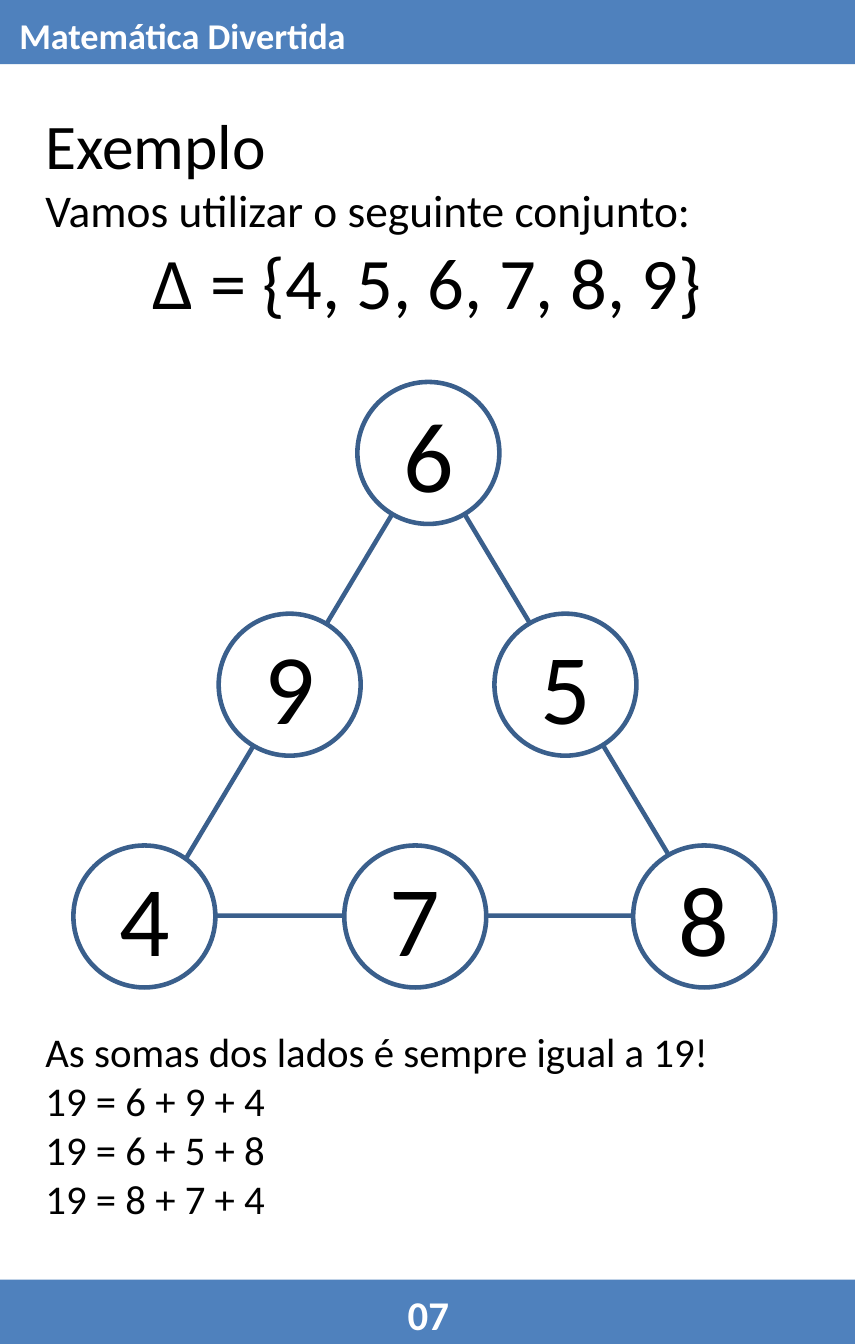
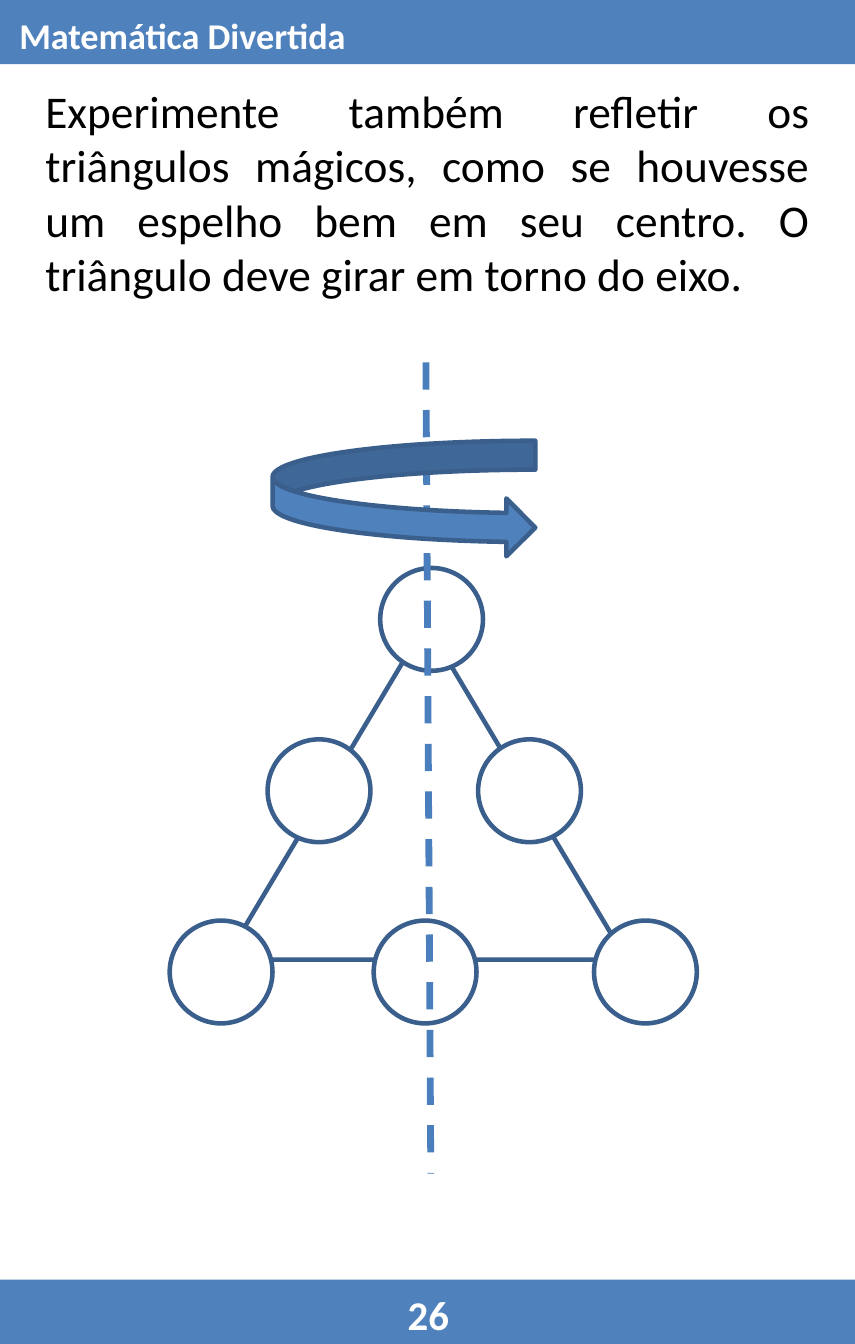
from lxml import etree
from pptx import Presentation
from pptx.dml.color import RGBColor
from pptx.enum.dml import MSO_LINE
from pptx.enum.shapes import MSO_CONNECTOR, MSO_SHAPE
from pptx.enum.text import MSO_ANCHOR, MSO_AUTO_SIZE, PP_ALIGN
from pptx.oxml.ns import qn
from pptx.util import Cm, Inches, Pt

RECTANGLE, ELLIPSE = MSO_SHAPE.RECTANGLE, MSO_SHAPE.OVAL
TRIANGLE, TURN_ARROW = MSO_SHAPE.ISOSCELES_TRIANGLE, MSO_SHAPE.CURVED_RIGHT_ARROW
LEFT, CENTER, JUSTIFY = PP_ALIGN.LEFT, PP_ALIGN.CENTER, PP_ALIGN.JUSTIFY
MIDDLE, GROW = MSO_ANCHOR.MIDDLE, MSO_AUTO_SIZE.SHAPE_TO_FIT_TEXT
STRAIGHT, DASH = MSO_CONNECTOR.STRAIGHT, MSO_LINE.DASH

BLUE = RGBColor(0x4F, 0x81, 0xBD)
OUTLINE = RGBColor(0x3A, 0x5F, 0x8C)
AXIS = RGBColor(0x4B, 0x7E, 0xBC)
WHITE = RGBColor(0xFF, 0xFF, 0xFF)
BLACK = RGBColor(0, 0, 0)
FONT = "Calibri"

# Lengths below are in inches
PAGE_W, PAGE_H = Pt(377.2).inches, Pt(592.85).inches
BAND_H = Cm(1).inches
BODY_X = 0.18
BODY_W = PAGE_W - 2 * BODY_X
BOOK_TITLE = "Matemática Divertida"


def add_shape(slide, preset, box, fill=None, outline=None):
    shape = slide.shapes.add_shape(preset, *map(Inches, box))
    shape.shadow.inherit = False
    if fill is None:
        shape.fill.background()
    else:
        shape.fill.solid()
        shape.fill.fore_color.rgb = fill
    if outline is None:
        shape.line.fill.background()
    else:
        shape.line.color.rgb = outline
        shape.line.width = Pt(2)
    return shape


def write(paragraph, text, size, align, color=BLACK, bold=False):
    paragraph.text = text
    paragraph.alignment = align
    for run in paragraph.runs:
        run.font.name = FONT
        run.font.size = Pt(size)
        run.font.bold = bold
        run.font.color.rgb = color


def add_text(slide, box, lines, color=BLACK, bold=False):
    """Each line is a (text, size, alignment) triple."""
    frame = slide.shapes.add_textbox(*map(Inches, box)).text_frame
    frame.word_wrap = True
    frame.auto_size = GROW
    for i, (text, size, align) in enumerate(lines):
        paragraph = frame.add_paragraph() if i else frame.paragraphs[0]
        write(paragraph, text, size, align, color, bold)


def add_page(prs, number):
    """Blank page with the header and footer bands of the book."""
    slide = prs.slides.add_slide(prs.slide_layouts[6])
    for top in (PAGE_H - BAND_H, 0):
        add_shape(slide, RECTANGLE, (0, top, PAGE_W, BAND_H), BLUE)
    add_text(slide, (2.35, 7.85, 0.55, 0.4), [(number, 18, CENTER)], WHITE, True)
    add_text(slide, (0.02, 0.03, 2.6, 0.37), [(BOOK_TITLE, 16, LEFT)], WHITE, True)
    return slide


def add_magic_triangle(slide, box, diameter, rows):
    """Each row is (top, lefts of its circles, their digits)."""
    add_shape(slide, TRIANGLE, box, outline=OUTLINE)
    for top, lefts, digits in rows:
        for i, left in enumerate(lefts):
            circle = add_shape(slide, ELLIPSE, (left, top, diameter, diameter),
                               WHITE, OUTLINE)
            if digits:
                circle.text_frame.vertical_anchor = MIDDLE
                write(circle.text_frame.paragraphs[0], digits[i], 44, CENTER)


def add_axis(slide, start, end):
    axis = slide.shapes.add_connector(STRAIGHT, *map(Inches, start + end))
    axis.line.color.rgb = AXIS
    axis.line.width = Pt(3)
    axis.line.dash_style = DASH
    etree.SubElement(axis._element.spPr, qn("a:effectLst"))


def add_example_page(prs):
    slide = add_page(prs, "07")
    add_text(slide, (BODY_X, 0.6, BODY_W, 1.45), [
        ("Exemplo", 28, JUSTIFY),
        ("Vamos utilizar o seguinte conjunto:", 20, JUSTIFY),
        ("∆ = {4, 5, 6, 7, 8, 9}", 32, CENTER),
    ])
    add_magic_triangle(slide, (0.93, 2.78, 3.39, 2.83), 0.87, [
        (2.34, (2.19,), "6"),
        (3.76, (1.34, 3.03), "95"),
        (5.18, (0.45, 2.11, 3.88), "478"),
    ])
    sums = [
        "As somas dos lados é sempre igual a 19!",
        "19 = 6 + 9 + 4",
        "19 = 6 + 5 + 8",
        "19 = 8 + 7 + 4",
    ]
    add_text(slide, (BODY_X, 6.24, BODY_W, 1.31), [(line, 18, JUSTIFY) for line in sums])


def add_reflection_page(prs):
    slide = add_page(prs, "26")
    add_magic_triangle(slide, (1.38, 3.82, 2.46, 2.06), 0.63, [
        (3.48, (2.33,), ""),
        (4.53, (1.64, 2.93), ""),
        (5.64, (1.04, 2.29, 3.64), ""),
    ])
    add_axis(slide, (2.61, 2.22), (2.64, 7.19))
    add_text(slide, (BODY_X, 0.46, BODY_W, 1.45), [(
        "Experimente também refletir os triângulos mágicos, como se houvesse "
        "um espelho bem em seu centro. O triângulo deve girar em torno do eixo.",
        20, JUSTIFY)])
    add_shape(slide, TURN_ARROW, (1.67, 2.7, 1.61, 0.71), BLUE, OUTLINE)


def main():
    prs = Presentation()
    prs.slide_width, prs.slide_height = Inches(PAGE_W), Inches(PAGE_H)
    add_example_page(prs)
    add_reflection_page(prs)
    prs.save("out.pptx")


if __name__ == "__main__":
    main()
